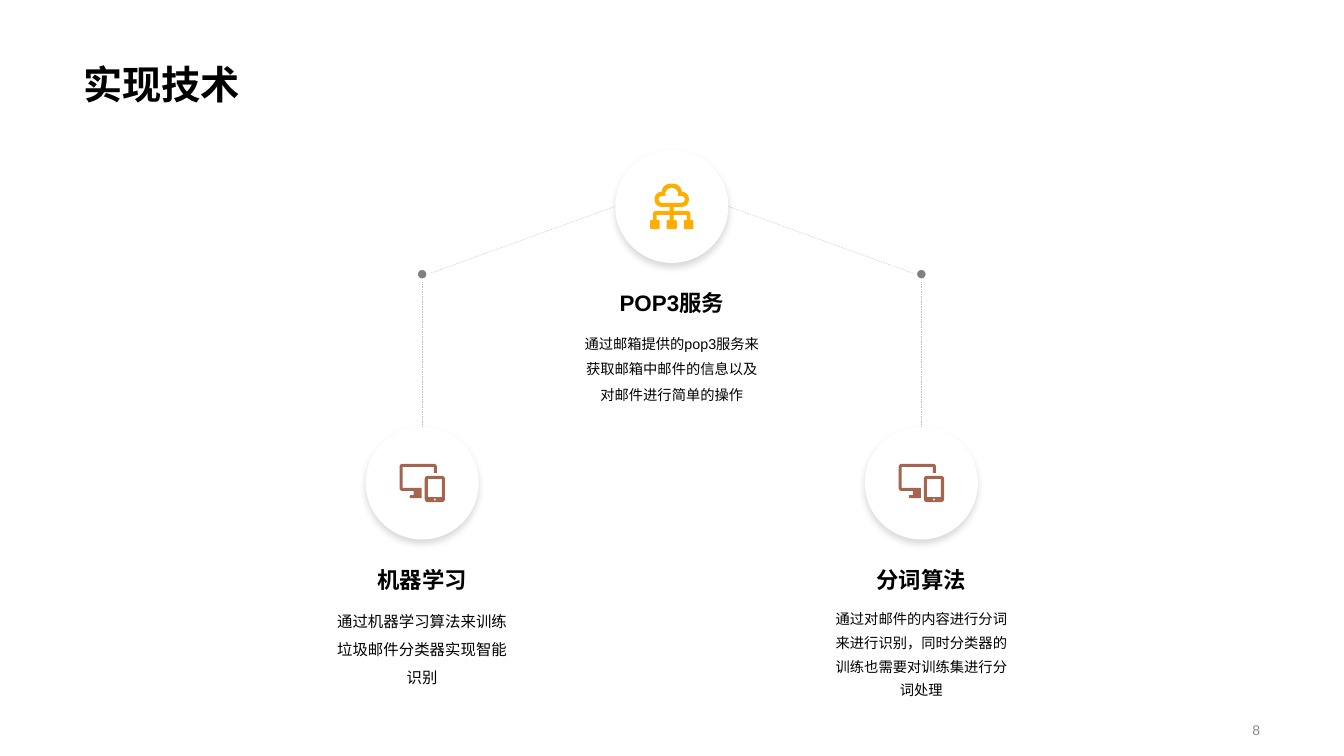
import lxml.etree
import pptx
import pptx.dml.color
import pptx.enum.dml
import pptx.enum.shapes
import pptx.enum.text
import pptx.oxml
import pptx.oxml.ns
import pptx.util
from pptx.util import Cm

FONT = "Arial"
COLORS = {
    "text": "000000",
    "number": "8C8C8C",
    "paper": "FFFFFF",
    "cloud": "FFAE00",
    "devices": "A5644E",
    "line": "BFBFBF",
    "dot": "808080",
}

# Layout in centimetres
CIRCLE = 2.85
LABEL_WIDTH = 5
MIDDLE_X, SPREAD = 16.93, 6.29
TOP_Y, BOTTOM_Y = 5.2, 12.17
BEND_Y = 6.96
ICON_UNIT = 0.0254

# Icon outlines: corners as (x, y, rounding) in icon units
CLOUD_HALVES = [
    [(9.5, 0, 8), (10, 8, 0), (17, 8, 7), (17, 23, 7), (2, 23, 0), (2, 27, 0),
     (18.5, 27, 3), (18.5, 36, 0), (21.5, 36, 1.5), (21.5, 45, 1.5),
     (12, 45, 1.5), (12, 36, 1.5), (15, 36, 0), (15, 31, 0), (2, 31, 0),
     (2, 36, 0), (5, 36, 1.5), (5, 45, 1.5)],
    [(6, 4, 6), (6.5, 12, 0), (13, 12, 3.5), (13, 19, 3.5)],
]


def mirrored(half):
    return half + [(-x, y, r) for x, y, r in reversed(half)]


def box(left, top, right, bottom, rounding):
    return [(x, y, rounding) for x, y in
            ((left, top), (right, top), (right, bottom), (left, bottom))]


CLOUD_ICON = [mirrored(half) for half in CLOUD_HALVES]
DEVICES_ICON = [
    [(0, 0, 3), (37, 0, 3), (37, 9, 0), (34, 9, 0), (34, 3, 0), (3, 3, 0),
     (3, 24, 0), (22, 24, 0), (22, 34, 0), (10, 34, 1.5), (10, 31, 1.5),
     (14, 31, 0), (14, 27, 0), (0, 27, 3)],
    box(25, 12, 45, 38, 3),
    box(28, 15, 42, 33, 0.5),
    box(34, 34.5, 36, 36.5, 1),
]


def color(name):
    return pptx.dml.color.RGBColor.from_string(COLORS[name])


def rounded(corners, steps=6):
    """Return the outline of a polygon with its corners rounded."""
    outline = []
    for i, (x, y, r) in enumerate(corners):
        ends = []
        for nx, ny, _ in (corners[i - 1], corners[(i + 1) % len(corners)]):
            share = r / ((nx - x) ** 2 + (ny - y) ** 2) ** 0.5
            ends.append((x + (nx - x) * share, y + (ny - y) * share))
        (ax, ay), (bx, by) = ends
        if r == 0:
            outline.append((x, y))
            continue
        # Cubic curve close to a quarter circle
        cx, cy = ax + 0.55 * (x - ax), ay + 0.55 * (y - ay)
        dx, dy = bx + 0.55 * (x - bx), by + 0.55 * (y - by)
        for step in range(steps + 1):
            t = step / steps
            u = 1 - t
            weights = (u ** 3, 3 * u * u * t, 3 * u * t * t, t ** 3)
            outline.append((
                sum(w * p for w, p in zip(weights, (ax, cx, dx, bx))),
                sum(w * p for w, p in zip(weights, (ay, cy, dy, by)))))
    return outline


def write(frame, text, size, fill="text", bold=False, align="CENTER",
          anchor="TOP", spacing=None):
    frame.word_wrap = True
    frame.auto_size = pptx.enum.text.MSO_AUTO_SIZE.NONE
    frame.vertical_anchor = pptx.enum.text.MSO_ANCHOR[anchor]
    frame.text = text
    paragraph = frame.paragraphs[0]
    paragraph.alignment = pptx.enum.text.PP_ALIGN[align]
    if spacing:
        paragraph.line_spacing = spacing
    paragraph.font.name = FONT
    paragraph.font.size = pptx.util.Pt(size)
    paragraph.font.bold = bold
    paragraph.font.color.rgb = color(fill)


def add_text(slide, left, top, width, height, *args, **kwargs):
    label = slide.shapes.add_textbox(Cm(left), Cm(top), Cm(width), Cm(height))
    write(label.text_frame, *args, **kwargs)


def add_disc(slide, x, y, size, fill, kind="OVAL"):
    disc = slide.shapes.add_shape(
        pptx.enum.shapes.MSO_SHAPE[kind],
        Cm(x - size / 2), Cm(y - size / 2), Cm(size), Cm(size))
    disc.shadow.inherit = False
    disc.fill.solid()
    disc.fill.fore_color.rgb = color(fill)
    disc.line.fill.background()
    return disc


def add_soft_shadow(shape):
    effects = shape._element.spPr.find(pptx.oxml.ns.qn("a:effectLst"))
    effects.append(pptx.oxml.parse_xml(
        f'<a:outerShdw {pptx.oxml.ns.nsdecls("a")} blurRad="63500" '
        'dist="38100" dir="5400000" algn="t" rotWithShape="0">'
        '<a:srgbClr val="000000"><a:alpha val="15000"/></a:srgbClr>'
        '</a:outerShdw>'))


def add_icon(slide, x, y, contours, fill):
    """Draw the contours as one outline, centred on x, y."""
    xs, ys = zip(*((cx, cy) for contour in contours for cx, cy, _ in contour))
    mid_x, mid_y = (min(xs) + max(xs)) / 2, (min(ys) + max(ys)) / 2
    builder = None
    for contour in contours:
        points = [(Cm(x + (px - mid_x) * ICON_UNIT),
                   Cm(y + (py - mid_y) * ICON_UNIT))
                  for px, py in rounded(contour)]
        if builder is None:
            builder = slide.shapes.build_freeform(*points[0])
        else:
            builder.move_to(*points[0])
        builder.add_line_segments(points[1:], close=True)
    icon = builder.convert_to_shape()
    icon.shadow.inherit = False
    icon.fill.solid()
    icon.fill.fore_color.rgb = color(fill)
    icon.line.fill.background()


def add_dashed_line(slide, start, end):
    link = slide.shapes.add_connector(
        pptx.enum.shapes.MSO_CONNECTOR.STRAIGHT,
        *(Cm(value) for value in start + end))
    link.line.color.rgb = color("line")
    link.line.width = pptx.util.Pt(0.25)
    link.line.dash_style = pptx.enum.dml.MSO_LINE.DASH
    lxml.etree.SubElement(link._element.spPr, pptx.oxml.ns.qn("a:effectLst"))


def add_technique(slide, x, y, icon, fill, heading, body, size, spacing):
    add_soft_shadow(add_disc(slide, x, y, CIRCLE, "paper"))
    add_icon(slide, x, y, icon, fill)
    left = x - LABEL_WIDTH / 2
    add_text(slide, left, y + 1.83, LABEL_WIDTH, 1.07, heading, 16,
             bold=True, anchor="BOTTOM")
    add_text(slide, left, y + 2.9, LABEL_WIDTH, 2.64, body, size,
             spacing=spacing)


def main():
    deck = pptx.Presentation()
    deck.slide_width, deck.slide_height = Cm(33.87), Cm(19.05)
    slide = deck.slides.add_slide(deck.slide_layouts[5])

    # Title and slide number
    title = slide.shapes.title
    title.left, title.top = Cm(1.85), Cm(0)
    title.width, title.height = Cm(30.15), Cm(2.84)
    write(title.text_frame, "实现技术", 28, bold=True, align="LEFT",
          anchor="BOTTOM", spacing=0.9)
    add_text(slide, 23.93, 18.11, 8.08, 0.58, "8", 10, fill="number",
             align="RIGHT", anchor="MIDDLE")

    # Techniques
    left_x, right_x = MIDDLE_X - SPREAD, MIDDLE_X + SPREAD
    add_technique(slide, left_x, BOTTOM_Y, DEVICES_ICON, "devices", "机器学习",
                  "通过机器学习算法来训练垃圾邮件分类器实现智能识别", 11, 1.5)
    add_technique(slide, MIDDLE_X, TOP_Y, CLOUD_ICON, "cloud", "POP3服务",
                  "通过邮箱提供的pop3服务来获取邮箱中邮件的信息以及对邮件进行简单的操作",
                  10.2, 1.5)
    add_technique(slide, right_x, BOTTOM_Y, DEVICES_ICON, "devices", "分词算法",
                  "通过对邮件的内容进行分词来进行识别，同时分类器的训练也需要对训练集进行分词处理",
                  10.2, 1.4)

    # Links from the top circle to the lower ones
    for side, x in ((-1, left_x), (1, right_x)):
        bend = (x, BEND_Y)
        add_dashed_line(slide, (MIDDLE_X + side * CIRCLE / 2, TOP_Y), bend)
        add_dashed_line(slide, bend, (x, BOTTOM_Y - CIRCLE / 2))
        dot = add_disc(slide, x, BEND_Y - 0.05, 0.3, "dot",
                       "FLOWCHART_CONNECTOR")
        dot.line.color.rgb = color("paper")
        dot.line.width = pptx.util.Pt(2.25)

    deck.save("out.pptx")


if __name__ == "__main__":
    main()
